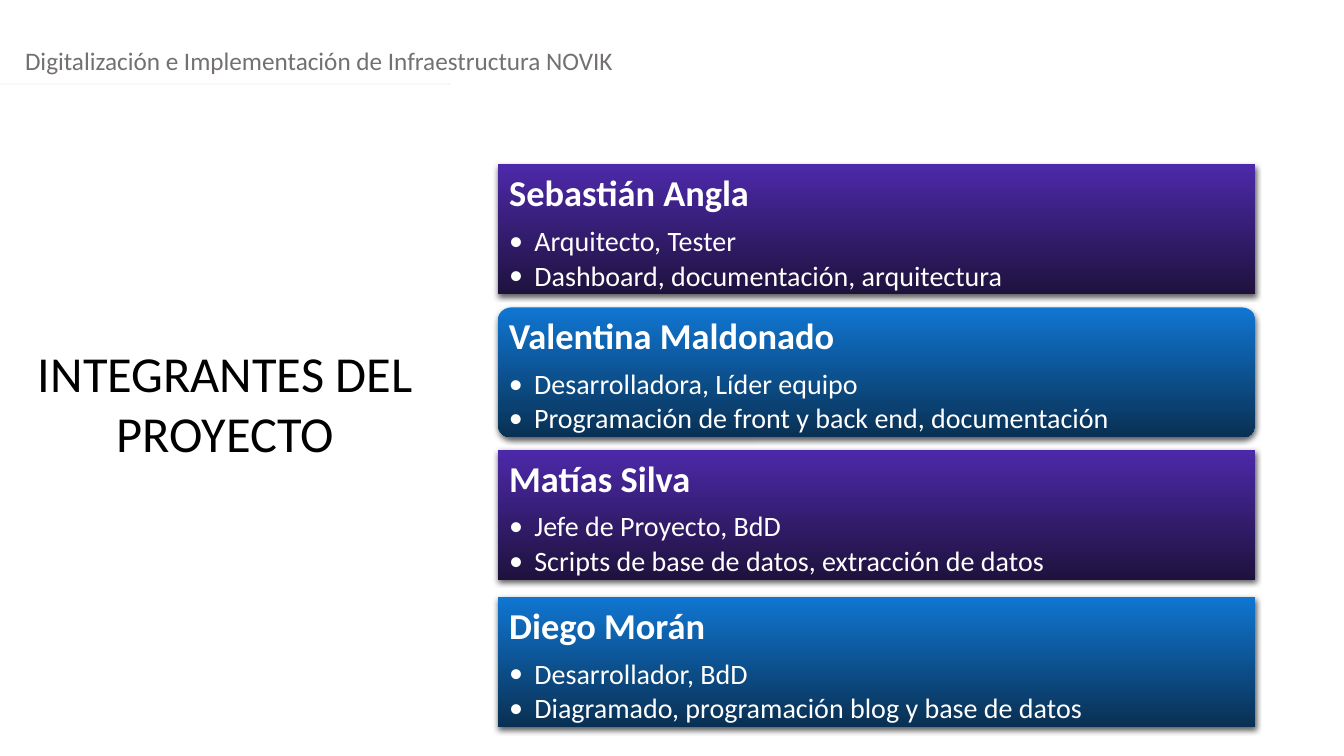
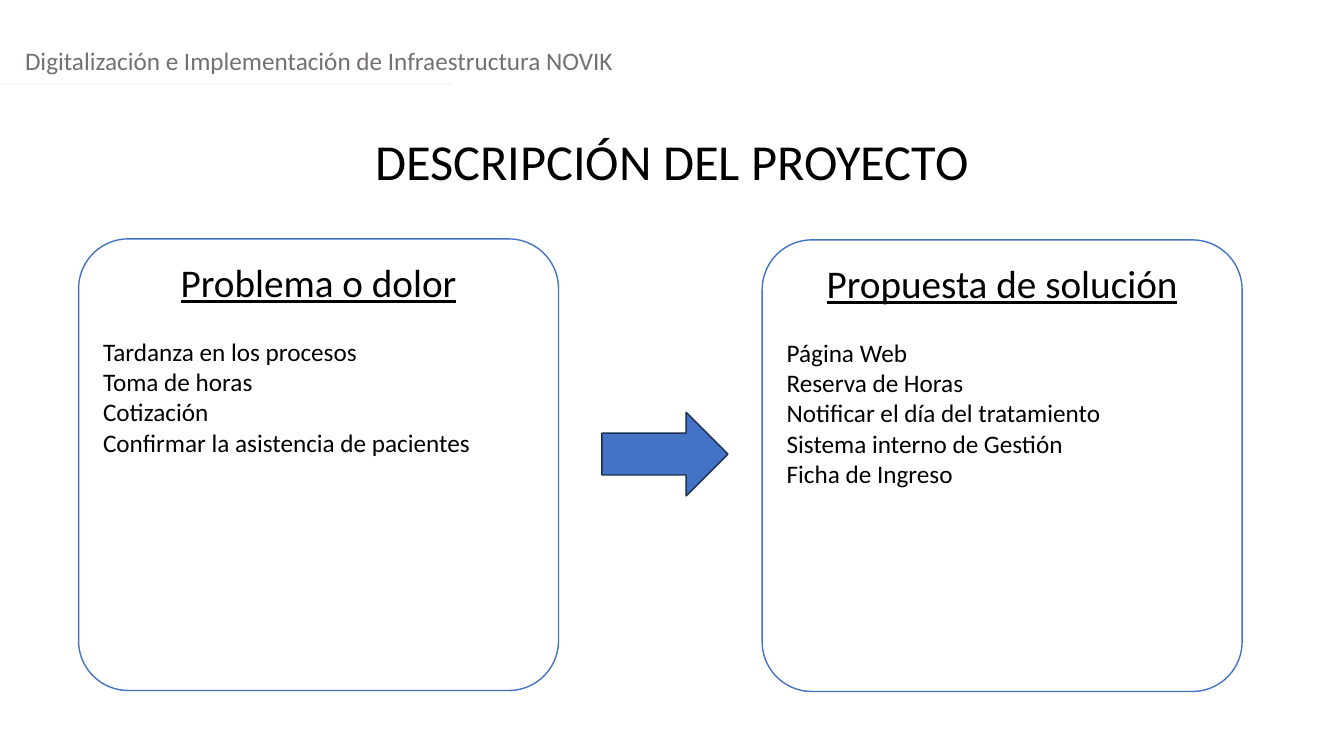
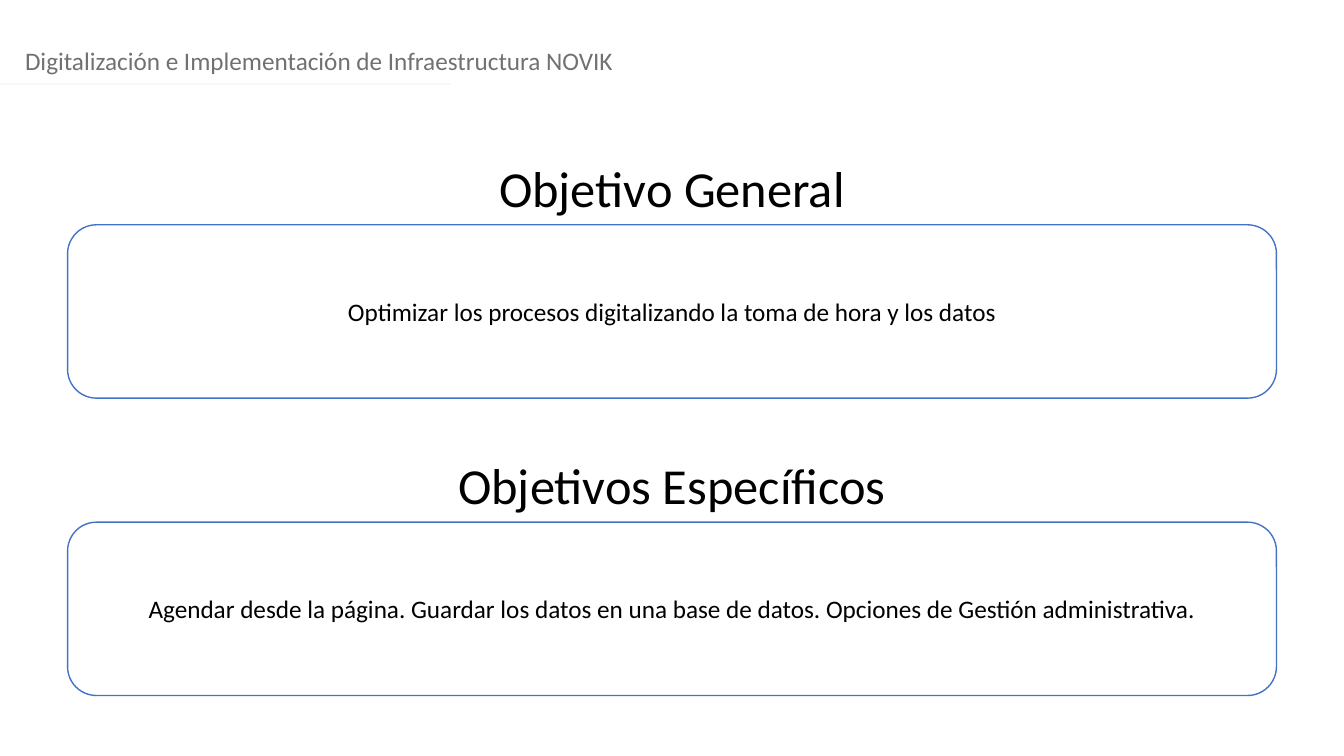
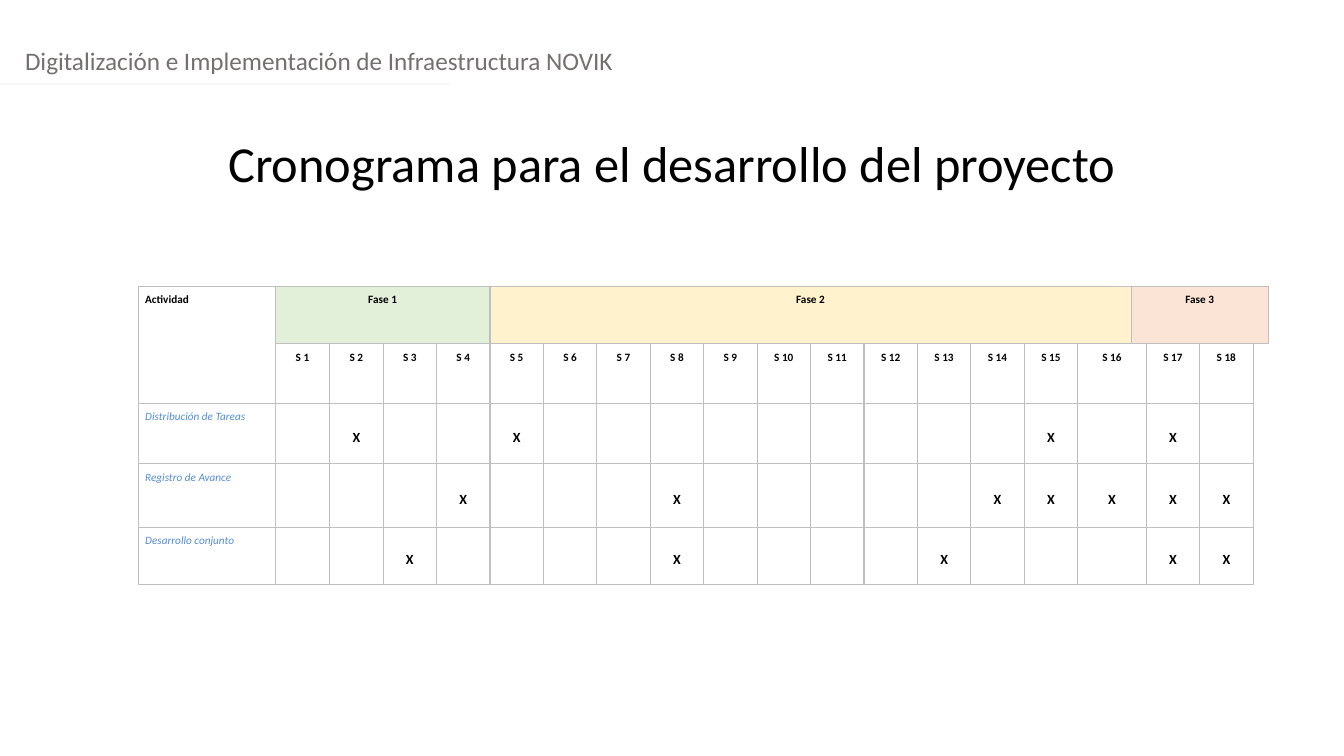
from lxml import etree
from pptx import Presentation
from pptx.dml.color import RGBColor
from pptx.enum.shapes import MSO_CONNECTOR as Connector, MSO_SHAPE as Shape
from pptx.enum.text import MSO_ANCHOR as Anchor, PP_ALIGN as Align
from pptx.oxml.ns import qn
from pptx.util import Inches, Pt

FONT = "Calibri"
BLACK, WHITE, GREY = "000000", "FFFFFF", "757070"
BLUE, NAVY, PALE = "4472C4", "1C3052", "F5F7FC"
GRID, ACTIVITY_BLUE = "BFBFBF", "548DD4"
PURPLE_FADE = ("4D29AA", "1E123D")
BLUE_FADE = ("1076D2", "093053")
NO_TABLE_STYLE = "{2D5ABB26-0587-4C30-8999-92F81FD0307C}"
WIDTH, HEIGHT = 13.33, 7.5

HEADER = "Digitalización e Implementación de Infraestructura NOVIK"

TEAM_TITLE = "INTEGRANTES DEL PROYECTO"
# top, outline, gradient, name, duties
TEAM = [
    (1.63, Shape.RECTANGLE, PURPLE_FADE, "Sebastián Angla",
     ["Arquitecto, Tester", "Dashboard, documentación, arquitectura"]),
    (3.05, Shape.ROUNDED_RECTANGLE, BLUE_FADE, "Valentina Maldonado",
     ["Desarrolladora, Líder equipo", "Programación de front y back end, documentación"]),
    (4.46, Shape.RECTANGLE, PURPLE_FADE, "Matías Silva",
     ["Jefe de Proyecto, BdD", "Scripts de base de datos, extracción de datos"]),
    (5.92, Shape.RECTANGLE, BLUE_FADE, "Diego Morán",
     ["Desarrollador, BdD", "Diagramado, programación blog y base de datos"]),
]

DESCRIPTION_TITLE = "DESCRIPCIÓN DEL PROYECTO"
# left, top, heading, items
PANELS = [
    (0.78, 2.37, "Problema o dolor",
     ["Tardanza en los procesos", "Toma de horas", "Cotización",
      "Confirmar la asistencia de pacientes"]),
    (7.56, 2.38, "Propuesta de solución",
     ["Página Web", "Reserva de Horas", "Notificar el día del tratamiento",
      "Sistema interno de Gestión", "Ficha de Ingreso"]),
]

# title top, title, text
GOALS = [
    (1.51, "Objetivo General",
     "Optimizar los procesos digitalizando la toma de hora y los datos"),
    (4.46, "Objetivos Específicos",
     "Agendar desde la página. Guardar los datos en una base de datos. "
     "Opciones de Gestión administrativa."),
]

SCHEDULE_TITLE = "Cronograma para el desarrollo del proyecto"
# name, first column, last column, fill
PHASES = [("Fase 1", 1, 4, "E2EFD9"), ("Fase 2", 5, 16, "FFF2CC"), ("Fase 3", 17, 20, "FBE4D5")]
# activity, marked weeks
ACTIVITIES = [
    ("Distribución de Tareas", [2, 5, 15, 17]),
    ("Registro de Avance", [4, 8, 14, 15, 16, 17, 18]),
    ("Desarrollo conjunto", [3, 8, 13, 17, 18]),
]
WEEKS = range(1, 19)
WIDE_WEEK = 16  # this week takes two columns
COLUMN_WIDTHS = [1.36, 0.54] + [0.53] * 15 + [0.15, 0.53, 0.53, 0.15]
ROW_HEIGHTS = [0.57, 0.59, 0.6, 0.63, 0.57]


def rgb(value):
    return RGBColor.from_string(value)


def inches(*values):
    return [Inches(value) for value in values]


def add_element(parent, tag, **attributes):
    return etree.SubElement(parent, qn(tag), {key: str(value) for key, value in attributes.items()})


def write(para, text, size, color=BLACK, align=Align.LEFT, spacing=None, before=None, **font):
    layout = {"alignment": align, "line_spacing": spacing, "space_before": before}
    for name, value in layout.items():
        if value is not None:
            setattr(para, name, value)
    span = para.add_run()
    span.text = text
    for name, value in {"name": FONT, "size": Pt(size), **font}.items():
        setattr(span.font, name, value)
    span.font.color.rgb = rgb(color)


def add_text(slide, place, text, size, color=BLACK, align=Align.CENTER):
    frame = slide.shapes.add_textbox(*inches(*place)).text_frame
    frame.word_wrap = True
    write(frame.paragraphs[0], text, size, color, align)


def add_title(slide, text, top, left=0, width=WIDTH, height=0.71):
    add_text(slide, (left, top, width, height), text, 36)


def add_box(slide, kind, place, fill=WHITE, line=BLUE, corner=None, anchor=Anchor.TOP):
    box = slide.shapes.add_shape(kind, *inches(*place))
    box.shadow.inherit = False
    box.fill.solid()
    box.fill.fore_color.rgb = rgb(fill)
    box.line.color.rgb = rgb(line)
    box.line.width = Pt(1)
    if corner is not None:
        box.adjustments[0] = corner
    box.text_frame.word_wrap = True
    box.text_frame.vertical_anchor = anchor
    return box


def new_slide(deck):
    """Add a blank slide with the header text and its rule."""
    slide = deck.slides.add_slide(deck.slide_layouts[6])
    add_text(slide, (0.15, 0.4, 6.5, 0.4), HEADER, 18, GREY, Align.LEFT)
    rule = slide.shapes.add_connector(Connector.STRAIGHT, *inches(0, 0.83, 4.47, 0.83))
    rule.line.color.rgb = rgb(PALE)
    rule.line.width = Pt(1.25)
    add_element(rule._element.spPr, "a:effectLst")
    return slide


def add_drop_shadow(box):
    effects = box._element.spPr.find(qn("a:effectLst"))
    shadow = add_element(effects, "a:outerShdw", blurRad=Pt(4.5), dist=Pt(1.5),
                         dir=90 * 60000, algn="ctr", rotWithShape=0)
    color = add_element(shadow, "a:srgbClr", val=BLACK)
    add_element(color, "a:alpha", val=63000)


def add_bullet(para):
    properties = para._p.get_or_add_pPr()
    properties.set("marL", str(Inches(0.25)))
    properties.set("indent", str(Inches(-0.25)))
    color = add_element(properties, "a:buClr")
    add_element(color, "a:srgbClr", val=WHITE)
    add_element(properties, "a:buFont", typeface=FONT)
    add_element(properties, "a:buChar", char="•")


def add_member_card(slide, top, kind, fade, name, duties):
    rounded = kind == Shape.ROUNDED_RECTANGLE
    card = add_box(slide, kind, (4.94, top, 7.51, 1.29), corner=0.1 if rounded else None)
    card.line.fill.background()
    card.fill.gradient()
    card.fill.gradient_angle = 270
    for stop, color, position in zip(card.fill.gradient_stops, fade, (0, 1)):
        stop.color.rgb = rgb(color)
        stop.position = position
    add_drop_shadow(card)
    frame = card.text_frame
    margin = 0.07 if rounded else 0.11  # round corners already push the text in
    for side in ("left", "right", "top", "bottom"):
        setattr(frame, f"margin_{side}", Inches(margin))
    write(frame.paragraphs[0], name, 26, WHITE, spacing=0.9, bold=True)
    for index, duty in enumerate(duties):
        para = frame.add_paragraph()
        write(para, duty, 20, WHITE, spacing=0.9, before=Pt(3 if index else 9.1))
        add_bullet(para)


def build_team(deck):
    slide = new_slide(deck)
    add_title(slide, TEAM_TITLE, 3.34, left=0.26, width=3.95, height=1.31)
    for member in TEAM:
        add_member_card(slide, *member)


def build_description(deck):
    slide = new_slide(deck)
    add_title(slide, DESCRIPTION_TITLE, 1.24)
    for left, top, heading, items in PANELS:
        frame = add_box(slide, Shape.ROUNDED_RECTANGLE, (left, top, 4.76, 4.48),
                        corner=0.11).text_frame
        write(frame.paragraphs[0], heading, 28, align=Align.CENTER, underline=True)
        for index, item in enumerate(items):
            write(frame.add_paragraph(), item, 18, align=Align.JUSTIFY,
                  before=Pt(0 if index else 22))
    add_box(slide, Shape.RIGHT_ARROW, (5.97, 4.09, 1.25, 0.83), BLUE, NAVY)


def build_goals(deck):
    slide = new_slide(deck)
    for top, title, text in GOALS:
        add_title(slide, title, top)
        box = add_box(slide, Shape.ROUNDED_RECTANGLE, (0.67, top + 0.72, 11.99, 1.72),
                      anchor=Anchor.MIDDLE)
        write(box.text_frame.paragraphs[0], text, 18, align=Align.CENTER)


def set_borders(cell, drawn):
    """Draw the sides named by their letters and switch the others off."""
    properties = cell._tc.get_or_add_tcPr()
    for index, side in enumerate("LRTB"):
        line = etree.Element(qn(f"a:ln{side}"), w=str(Pt(1)))
        if side in drawn:
            add_element(add_element(line, "a:solidFill"), "a:srgbClr", val=GRID)
        else:
            add_element(line, "a:noFill")
        properties.insert(index, line)


def set_margins(cell, sideways):
    margins = {"left": sideways, "right": sideways, "top": 0, "bottom": 0}
    for side, value in margins.items():
        setattr(cell, f"margin_{side}", Inches(value))


def fill_cell(cell, text, size=8, color=BLACK, align=Align.CENTER, anchor=Anchor.TOP, **font):
    set_margins(cell, 0.07)
    cell.vertical_anchor = anchor
    write(cell.text_frame.paragraphs[0], text, size, color, align, spacing=1.5, **font)


def week_column(week):
    return week + (week > WIDE_WEEK)


def add_schedule(slide):
    place = inches(1.37, 2.84, sum(COLUMN_WIDTHS), sum(ROW_HEIGHTS))
    table = slide.shapes.add_table(len(ROW_HEIGHTS), len(COLUMN_WIDTHS), *place).table
    table.first_row = table.horz_banding = False
    table._tbl.tblPr.find(qn("a:tableStyleId")).text = NO_TABLE_STYLE
    for column, width in zip(table.columns, COLUMN_WIDTHS):
        column.width = Inches(width)
    for row, height in zip(table.rows, ROW_HEIGHTS):
        row.height = Inches(height)

    last_column = len(COLUMN_WIDTHS) - 1
    for row in range(len(ROW_HEIGHTS)):
        for column in range(len(COLUMN_WIDTHS)):
            cell = table.cell(row, column)
            cell.fill.background()
            set_margins(cell, 0)
            open_end = row > 0 and column == last_column
            set_borders(cell, ("LT" if row == 1 else "L") if open_end else "LRTB")
        if row:
            table.cell(row, WIDE_WEEK).merge(table.cell(row, WIDE_WEEK + 1))

    table.cell(0, 0).merge(table.cell(1, 0))
    fill_cell(table.cell(0, 0), "Actividad", align=Align.JUSTIFY, bold=True)
    for name, first, last, color in PHASES:
        cell = table.cell(0, first)
        cell.merge(table.cell(0, last))
        cell.fill.solid()
        cell.fill.fore_color.rgb = rgb(color)
        fill_cell(cell, name, bold=True)
    for week in WEEKS:
        fill_cell(table.cell(1, week_column(week)), f"S {week}", bold=True)
    for row, (activity, weeks) in enumerate(ACTIVITIES, start=2):
        fill_cell(table.cell(row, 0), activity, color=ACTIVITY_BLUE, align=Align.JUSTIFY,
                  italic=True)
        for week in weeks:
            fill_cell(table.cell(row, week_column(week)), "X", size=10,
                      anchor=Anchor.MIDDLE, bold=True)


def build_schedule(deck):
    slide = new_slide(deck)
    add_title(slide, SCHEDULE_TITLE, 1.26, height=0.88)
    add_schedule(slide)


def main():
    deck = Presentation()
    deck.slide_width, deck.slide_height = inches(WIDTH, HEIGHT)
    for build in (build_team, build_description, build_goals, build_schedule):
        build(deck)
    deck.save("out.pptx")


if __name__ == "__main__":
    main()
